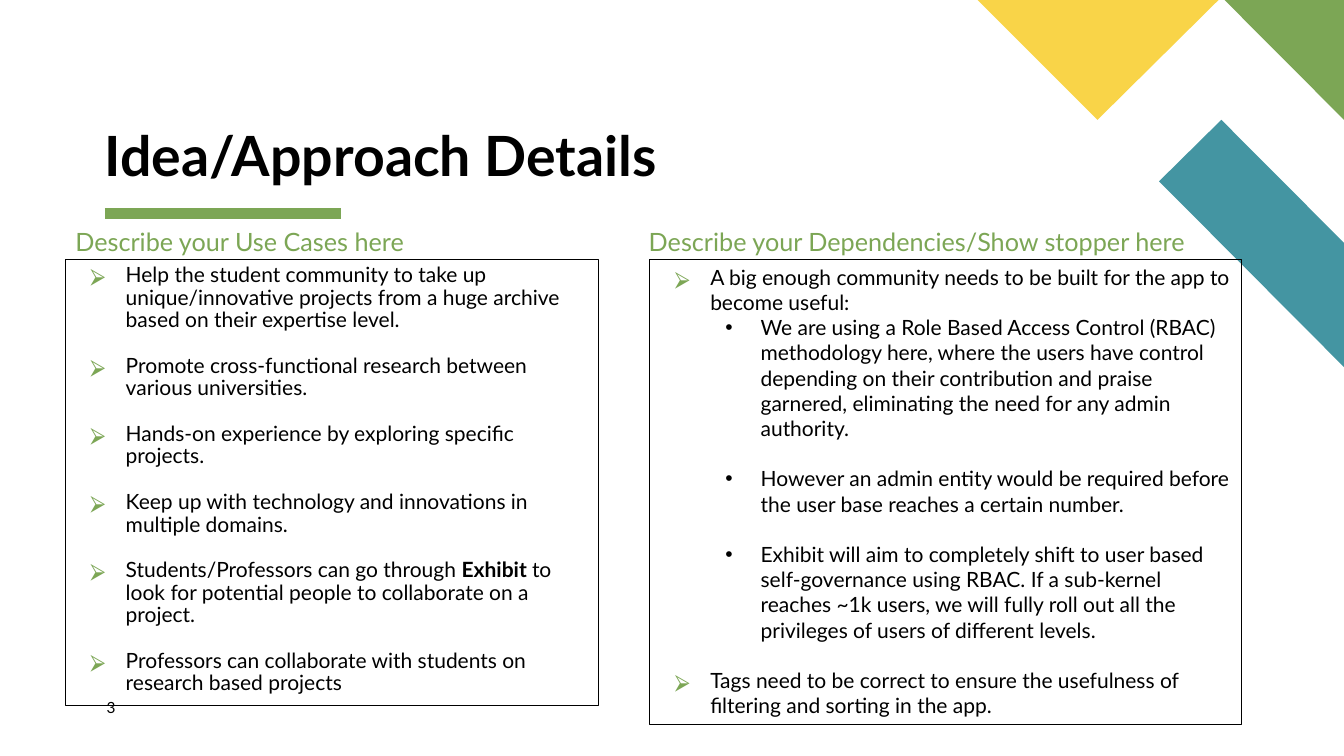
from lxml import etree
from pptx import Presentation
from pptx.dml.color import RGBColor
from pptx.enum import shapes, text
from pptx.oxml import ns
from pptx.util import Cm, Pt

FONT = "Lato"
BLACK, GREEN, YELLOW, TEAL = "000000", "7CA655", "F9D448", "4495A2"
WIDTH, HEIGHT = 33.87, 19.05

# Corner decoration: colour, corner points in cm
CORNERS = [
    (TEAL, [(WIDTH, 9.25), (WIDTH, 6.12), (30.78, 3.02), (29.21, 4.57)]),
    (GREEN, [(WIDTH, 3.02), (WIDTH, 0), (30.86, 0)]),
    (YELLOW, [(24.64, 0), (27.66, 3.02), (30.71, 0)]),
]

TITLE = "Idea/Approach Details"
PAGE = "3"

# Items: level, runs as (text, bold), blank line after
USE_CASES = [
    (0, [("Help the student community to take up unique/innovative projects "
          "from a huge archive based on their expertise level.", False)], True),
    (0, [("Promote cross-functional research between various universities.", False)], True),
    (0, [("Hands-on experience by exploring specific projects.", False)], True),
    (0, [("Keep up with technology and innovations in multiple domains.", False)], True),
    (0, [("Students/Professors can go through ", False), ("Exhibit ", True),
         ("to look for potential people to collaborate on a project.", False)], True),
    (0, [("Professors can collaborate with students on research based projects", False)], False),
]
DEPENDENCIES = [
    (0, [("A big enough community needs to be built for the app to become useful:", False)], False),
    (1, [("We are using a Role Based Access Control (RBAC) methodology here, where "
          "the users have control depending on their contribution and praise garnered, "
          "eliminating the need for any admin authority.", False)], True),
    (1, [("However an admin entity would be required before the user base reaches "
          "a certain number.", False)], True),
    (1, [("Exhibit will aim to completely shift to user based self-governance using RBAC. "
          "If a sub-kernel reaches ~1k users, we will fully roll out all the privileges "
          "of users of different levels.", False)], True),
    (0, [("Tags need to be correct to ensure the usefulness of filtering and sorting "
          "in the app.", False)], False),
]

# Columns: heading, heading left, box left, box width, box height, line spacing, items
COLUMNS = [
    ("Describe your Use Cases here", 1.65, 1.65, 13.44, 11.25, 0.9, USE_CASES),
    ("Describe your Dependencies/Show stopper here", 16.1, 16.38, 14.91, 11.73, 1.0,
     DEPENDENCIES),
]
HEADING_TOP, HEADING_HEIGHT, BOX_TOP = 5.66, 0.89, 6.53
INSET_X, INSET_Y = 0.25, 0.13
BODY_SIZE, LINE_FACTOR = 15, 1.2
INDENT, HANGING = 1.27, 0.89

# Bullets by level: symbol, font, colour
BULLETS = [("⮚", "Noto Sans Symbols", GREEN), ("•", "Arial", BLACK)]


def rgb(value):
    return RGBColor.from_string(value)


def set_frame(s, inset_x=0, inset_y=0, anchor=text.MSO_ANCHOR.TOP):
    tf = s.text_frame
    tf.word_wrap = True
    tf.margin_left = tf.margin_right = Cm(inset_x)
    tf.margin_top = tf.margin_bottom = Cm(inset_y)
    tf.vertical_anchor = anchor
    return tf


def add_run(p, words, size, color=BLACK, bold=False):
    r = p.add_run()
    r.text = words
    r.font.name, r.font.size, r.font.bold = FONT, Pt(size), bold
    r.font.color.rgb = rgb(color)


def add_label(slide, words, box, size, color=BLACK, bold=False, spacing=0.9, **frame):
    s = slide.shapes.add_textbox(*map(Cm, box))
    p = set_frame(s, **frame).paragraphs[0]
    p.line_spacing = spacing
    add_run(p, words, size, color, bold)


def set_bullet(p, level):
    symbol, font, color = BULLETS[level]
    pPr = p._p.get_or_add_pPr()
    pPr.set("marL", str(Cm(INDENT * (level + 1))))
    pPr.set("indent", str(-Cm(HANGING)))
    clr = etree.SubElement(pPr, ns.qn("a:buClr"))
    etree.SubElement(clr, ns.qn("a:srgbClr"), val=color)
    etree.SubElement(pPr, ns.qn("a:buFont"), typeface=font)
    etree.SubElement(pPr, ns.qn("a:buChar"), char=symbol)


def add_corner(slide, color, points):
    start, *rest = [(Cm(x), Cm(y)) for x, y in points]
    builder = slide.shapes.build_freeform(*start)
    builder.add_line_segments(rest, close=True)
    s = builder.convert_to_shape()
    s.shadow.inherit = False
    s.fill.solid()
    s.fill.fore_color.rgb = rgb(color)
    s.line.fill.background()


def add_rule(slide, left, right, y):
    s = slide.shapes.add_connector(shapes.MSO_CONNECTOR.STRAIGHT,
                                   Cm(left), Cm(y), Cm(right), Cm(y))
    s.line.color.rgb = rgb(GREEN)
    s.line.width = Pt(8)
    etree.SubElement(s._element.spPr, ns.qn("a:effectLst"))


def add_list_box(slide, box, spacing, items):
    s = slide.shapes.add_shape(shapes.MSO_SHAPE.RECTANGLE, *map(Cm, box))
    s.shadow.inherit = False
    s.fill.background()
    s.line.color.rgb = rgb(BLACK)
    s.line.width = Pt(0.75)
    tf = set_frame(s, INSET_X, INSET_Y)
    for i, (level, runs, gap) in enumerate(items):
        p = tf.add_paragraph() if i else tf.paragraphs[0]
        p.level = level
        p.alignment = text.PP_ALIGN.LEFT
        p.line_spacing = spacing
        p.space_after = Pt(BODY_SIZE * LINE_FACTOR * spacing if gap else 0)
        set_bullet(p, level)
        for words, bold in runs:
            add_run(p, words, BODY_SIZE, bold=bold)


def main():
    prs = Presentation()
    prs.slide_width, prs.slide_height = Cm(WIDTH), Cm(HEIGHT)
    slide = prs.slides.add_slide(prs.slide_layouts[6])
    add_rule(slide, 2.64, 8.59, 5.38)
    for color, points in CORNERS:
        add_corner(slide, color, points)
    add_label(slide, TITLE, (2.64, 3.05, 16.05, 1.7), 39.6, bold=True,
              anchor=text.MSO_ANCHOR.BOTTOM)
    for heading, heading_left, left, width, height, spacing, items in COLUMNS:
        add_label(slide, heading, (heading_left, HEADING_TOP, width, HEADING_HEIGHT), 18,
                  GREEN, inset_x=INSET_X, inset_y=INSET_Y)
        add_list_box(slide, (left, BOX_TOP, width, height), spacing, items)
    add_label(slide, PAGE, (2.69, 17.58, 1.45, 0.69), 11, spacing=1.0)
    prs.save("out.pptx")


if __name__ == "__main__":
    main()
